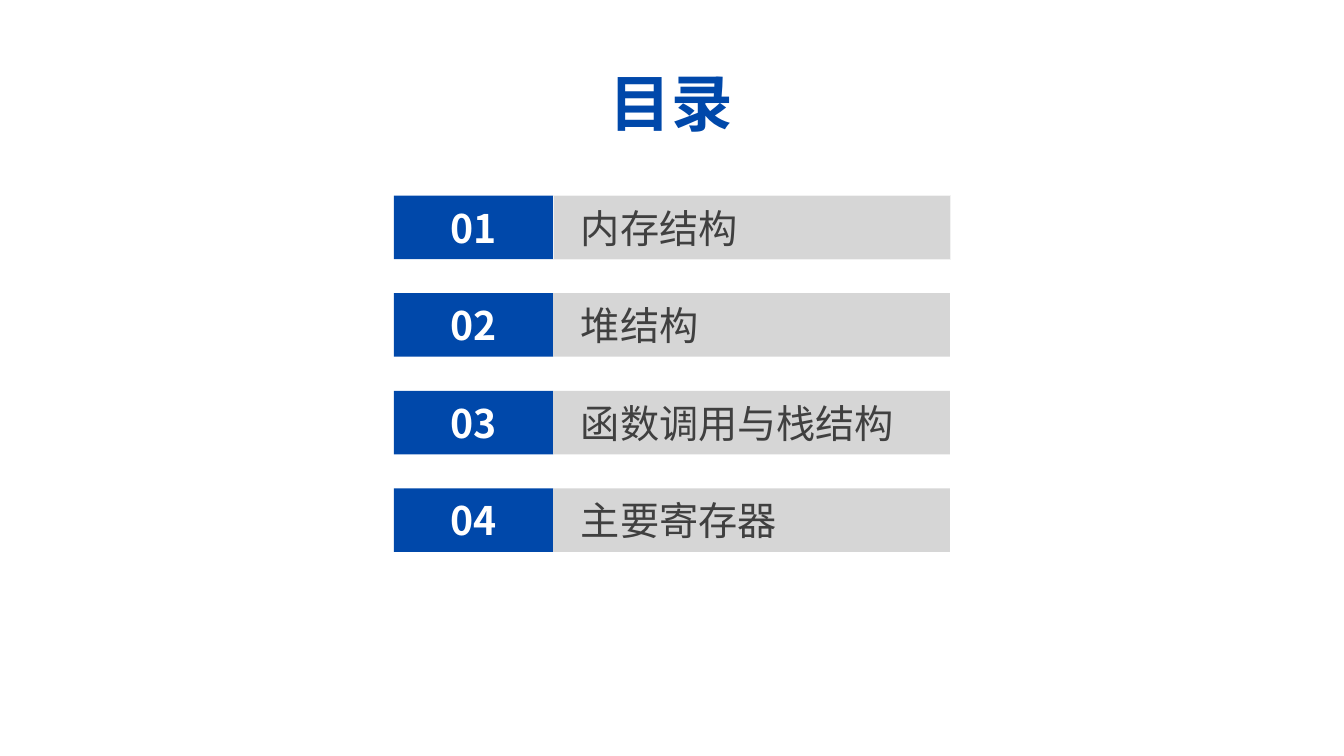
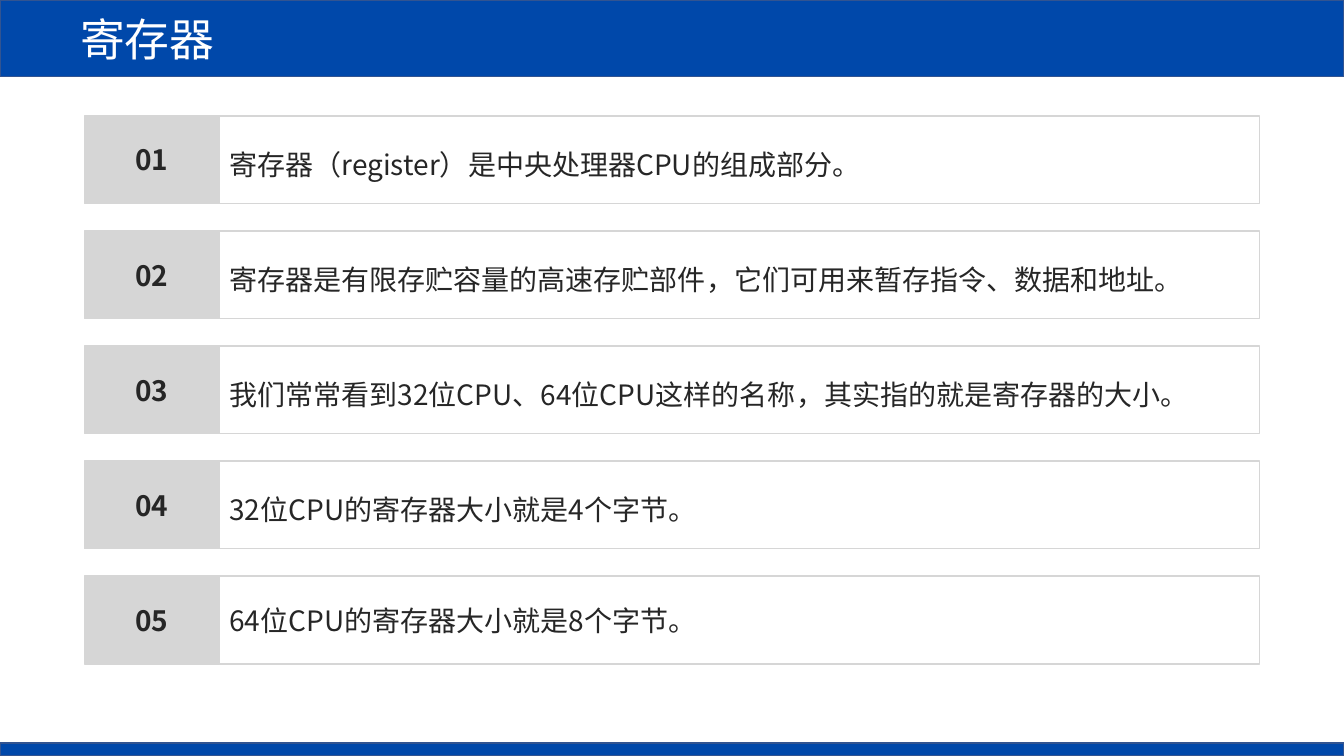
from dataclasses import dataclass
from typing import Optional

from lxml import etree
from pptx import Presentation
from pptx.dml.color import RGBColor
from pptx.enum.shapes import MSO_SHAPE
from pptx.enum.text import MSO_ANCHOR, MSO_AUTO_SIZE, PP_ALIGN
from pptx.oxml.ns import qn
from pptx.util import Cm, Pt

RECTANGLE = MSO_SHAPE.RECTANGLE
MIDDLE = MSO_ANCHOR.MIDDLE
FIT_SHAPE = MSO_AUTO_SIZE.SHAPE_TO_FIT_TEXT
LEFT, CENTER = PP_ALIGN.LEFT, PP_ALIGN.CENTER


# Theme: colours, font and type sizes
@dataclass(frozen=True)
class Theme:
    blue: str = "0048AA"
    band_line: str = "325491"
    gray: str = "D6D6D6"
    pale: str = "F2F2F2"
    white: str = "FFFFFF"
    label: str = "404040"
    ink: str = "262626"
    font: str = "Noto Sans CJK SC"
    contents_title: int = 44
    slide_title: int = 32
    contents: int = 28
    body: int = 20


THEME = Theme()
SLIDE_WIDTH, SLIDE_HEIGHT = 33.87, 19.05


@dataclass(frozen=True)
class Box:
    """A rectangle in centimetres."""
    left: float
    top: float
    width: float
    height: float


@dataclass(frozen=True)
class Look:
    """Colours, type and spacing of one cell style."""
    size: int
    color: str
    fill: Optional[str] = None
    line: Optional[str] = None
    line_width: float = 1
    bold: bool = False
    align: PP_ALIGN = LEFT
    inset: float = 0.25
    line_spacing: float = 1


@dataclass(frozen=True)
class RowGrid:
    """Equally spaced rows, each a number cell beside a label cell."""
    left: float
    top: float
    number_width: float
    label_width: float
    height: float
    pitch: float


@dataclass(frozen=True)
class Row:
    text: str
    look: Look


# Shared drawing functions
def write_text(frame, text: str, *, size: int, color: str, bold: bool = False,
               align: PP_ALIGN = LEFT, line_spacing: float = 1) -> None:
    paragraph = frame.paragraphs[0]
    paragraph.alignment = align
    paragraph.line_spacing = line_spacing
    run = paragraph.add_run()
    run.text = text
    run.font.name = THEME.font
    run.font.size = Pt(size)
    run.font.bold = bold
    run.font.color.rgb = RGBColor.from_string(color)
    latin = run.font._element.find(qn("a:latin"))
    east_asian = etree.Element(qn("a:ea"), typeface=THEME.font)
    latin.addnext(east_asian)


def draw_cell(shapes, box: Box, look: Look, text: str = "") -> None:
    shape = shapes.add_shape(RECTANGLE, Cm(box.left), Cm(box.top),
                             Cm(box.width), Cm(box.height))
    shape.shadow.inherit = False
    if look.fill:
        shape.fill.solid()
        shape.fill.fore_color.rgb = RGBColor.from_string(look.fill)
    else:
        shape.fill.background()
    if look.line:
        shape.line.color.rgb = RGBColor.from_string(look.line)
        shape.line.width = Pt(look.line_width)
    else:
        shape.line.fill.background()
    if text:
        frame = shape.text_frame
        frame.word_wrap = True
        frame.vertical_anchor = MIDDLE
        frame.margin_left = Cm(look.inset)
        write_text(frame, text, size=look.size, color=look.color, bold=look.bold,
                   align=look.align, line_spacing=look.line_spacing)


def draw_rows(slide, grid: RowGrid, number_look: Look, rows: list[Row]) -> None:
    for index, row in enumerate(rows):
        top = grid.top + index * grid.pitch
        group = slide.shapes.add_group_shape()
        draw_cell(group.shapes, Box(grid.left, top, grid.number_width, grid.height),
                  number_look, f"{index + 1:02}")
        draw_cell(group.shapes, Box(grid.left + grid.number_width, top,
                                    grid.label_width, grid.height),
                  row.look, row.text)


def draw_bands(slide, title: str) -> None:
    band = Look(THEME.slide_title, THEME.white, fill=THEME.blue,
                line=THEME.band_line, inset=2.02)
    draw_cell(slide.shapes, Box(0, 0, SLIDE_WIDTH, 1.93), band, title)
    draw_cell(slide.shapes, Box(0, 18.72, SLIDE_WIDTH, 0.33), band)


def add_blank_slide(presentation):
    return presentation.slides.add_slide(presentation.slide_layouts[6])


# Contents slide
def build_contents(presentation) -> None:
    slide = add_blank_slide(presentation)
    title = slide.shapes.add_textbox(Cm(15.11), Cm(1.52), Cm(3.66), Cm(2.13))
    title.text_frame.word_wrap = False
    title.text_frame.auto_size = FIT_SHAPE
    write_text(title.text_frame, "目录", size=THEME.contents_title,
               color=THEME.blue, bold=True)

    number = Look(THEME.contents, THEME.white, fill=THEME.blue, bold=True, align=CENTER)
    label = Look(THEME.contents, THEME.label, fill=THEME.gray, inset=0.7)
    outlined = Look(THEME.contents, THEME.label, fill=THEME.gray, inset=0.7,
                    line=THEME.pale, line_width=0.5)
    draw_rows(slide, RowGrid(9.93, 4.93, 4.01, 10, 1.6, 2.46), number, [
        Row("内存结构", outlined),
        Row("堆结构", label),
        Row("函数调用与栈结构", label),
        Row("主要寄存器", label),
    ])


# Registers slide
def build_registers(presentation) -> None:
    slide = add_blank_slide(presentation)
    draw_bands(slide, "寄存器")

    number = Look(THEME.body, THEME.ink, fill=THEME.gray, line=THEME.gray,
                  bold=True, align=CENTER)
    spaced = Look(THEME.body, THEME.ink, line=THEME.gray, line_spacing=1.25)
    single = Look(THEME.body, THEME.ink, line=THEME.gray)
    draw_rows(slide, RowGrid(2.13, 2.92, 3.4, 26.21, 2.21, 2.9), number, [
        Row("寄存器（register）是中央处理器CPU的组成部分。", spaced),
        Row("寄存器是有限存贮容量的高速存贮部件，它们可用来暂存指令、数据和地址。", spaced),
        Row("我们常常看到32位CPU、64位CPU这样的名称，其实指的就是寄存器的大小。", spaced),
        Row("32位CPU的寄存器大小就是4个字节。", spaced),
        Row("64位CPU的寄存器大小就是8个字节。", single),
    ])


def main() -> None:
    presentation = Presentation()
    presentation.slide_width = Cm(SLIDE_WIDTH)
    presentation.slide_height = Cm(SLIDE_HEIGHT)
    build_contents(presentation)
    build_registers(presentation)
    presentation.save("out.pptx")


if __name__ == "__main__":
    main()
